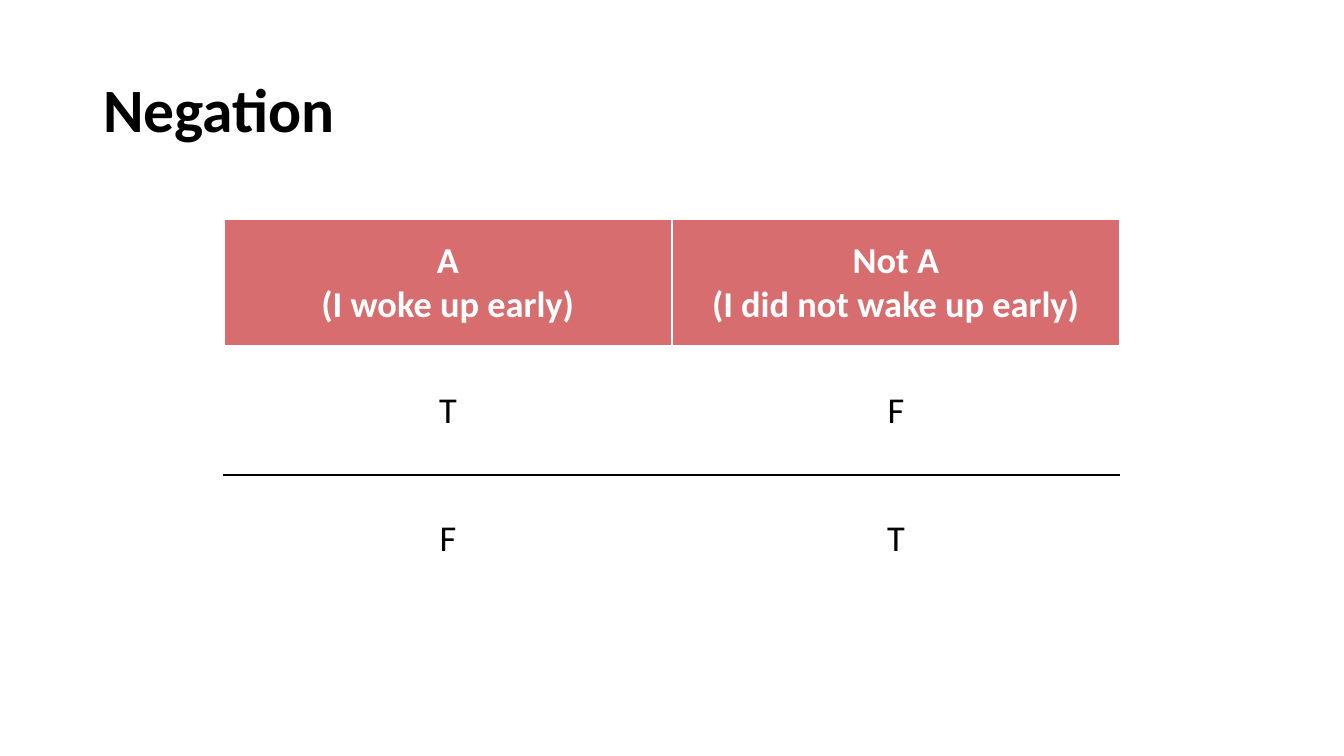
from dataclasses import dataclass

import lxml.etree
import pptx
import pptx.dml.color
import pptx.enum.text
import pptx.oxml.ns
import pptx.util

EMU_PER_PX = 914400 / 100.8
FONT = "Calibri"
WHITE, BLACK, RED = "FFFFFF", "000000", "D76D6F"
COLUMN_WIDTH, ROW_HEIGHT = 448, 128


@dataclass
class TableRow:
    texts: tuple[str, str]
    text_color: str = BLACK
    bold: bool = False
    fill: str | None = None
    top_line: tuple[str, int] = (WHITE, 1)
    bottom_line: tuple[str, int] = (WHITE, 1)


TRUTH_ROWS = [
    TableRow(("A\n(I woke up early)", "Not A\n(I did not wake up early)"),
             WHITE, True, RED, bottom_line=(WHITE, 3)),
    TableRow(("T", "F"), bottom_line=(BLACK, 1)),
    TableRow(("F", "T"), top_line=(BLACK, 1)),
]


def px(length: int) -> pptx.util.Emu:
    return pptx.util.Emu(round(length * EMU_PER_PX))


def color(value: str) -> pptx.dml.color.RGBColor:
    return pptx.dml.color.RGBColor.from_string(value)


def set_font(para, size: int, value: str, bold: bool) -> None:
    para.font.name = FONT
    para.font.size = pptx.util.Pt(size)
    para.font.bold = bold
    para.font.color.rgb = color(value)


def add_border(cell, side: str, value: str, points: int) -> None:
    qualified = pptx.oxml.ns.qn
    properties = cell._tc.get_or_add_tcPr()
    line = lxml.etree.SubElement(properties, qualified(f"a:ln{side}"),
                                 w=str(pptx.util.Pt(points)))
    solid = lxml.etree.SubElement(line, qualified("a:solidFill"))
    lxml.etree.SubElement(solid, qualified("a:srgbClr"), val=value)


def format_cell(cell, text: str, row: TableRow) -> None:
    cell.text = text
    cell.vertical_anchor = pptx.enum.text.MSO_ANCHOR.MIDDLE
    for para in cell.text_frame.paragraphs:
        para.alignment = pptx.enum.text.PP_ALIGN.CENTER
        set_font(para, 26, row.text_color, row.bold)
    # Borders come before the fill in the cell properties
    borders = {"L": (WHITE, 1), "R": (WHITE, 1),
               "T": row.top_line, "B": row.bottom_line}
    for side, (value, points) in borders.items():
        add_border(cell, side, value, points)
    if row.fill:
        cell.fill.solid()
        cell.fill.fore_color.rgb = color(row.fill)
    else:
        cell.fill.background()


def add_title(page, text: str) -> None:
    title = page.shapes.title
    title.left, title.top, title.width, title.height = map(px, (93, 40, 1159, 146))
    title.text_frame.text = text
    title.text_frame.vertical_anchor = pptx.enum.text.MSO_ANCHOR.MIDDLE
    para = title.text_frame.paragraphs[0]
    para.alignment = pptx.enum.text.PP_ALIGN.LEFT
    para.line_spacing = 0.9
    set_font(para, 44, BLACK, True)


def add_truth_table(page, rows: list[TableRow]) -> None:
    columns = len(rows[0].texts)
    table = page.shapes.add_table(
        len(rows), columns, px(224), px(219),
        px(columns * COLUMN_WIDTH), px(len(rows) * ROW_HEIGHT)).table
    table.horz_banding = False
    for row_index, row in enumerate(rows):
        for column_index, text in enumerate(row.texts):
            format_cell(table.cell(row_index, column_index), text, row)


def main() -> None:
    deck = pptx.Presentation()
    deck.slide_width, deck.slide_height = px(1344), px(756)
    page = deck.slides.add_slide(deck.slide_layouts.get_by_name("Title Only"))
    add_title(page, "Negation")
    add_truth_table(page, TRUTH_ROWS)
    deck.save("out.pptx")


if __name__ == "__main__":
    main()
